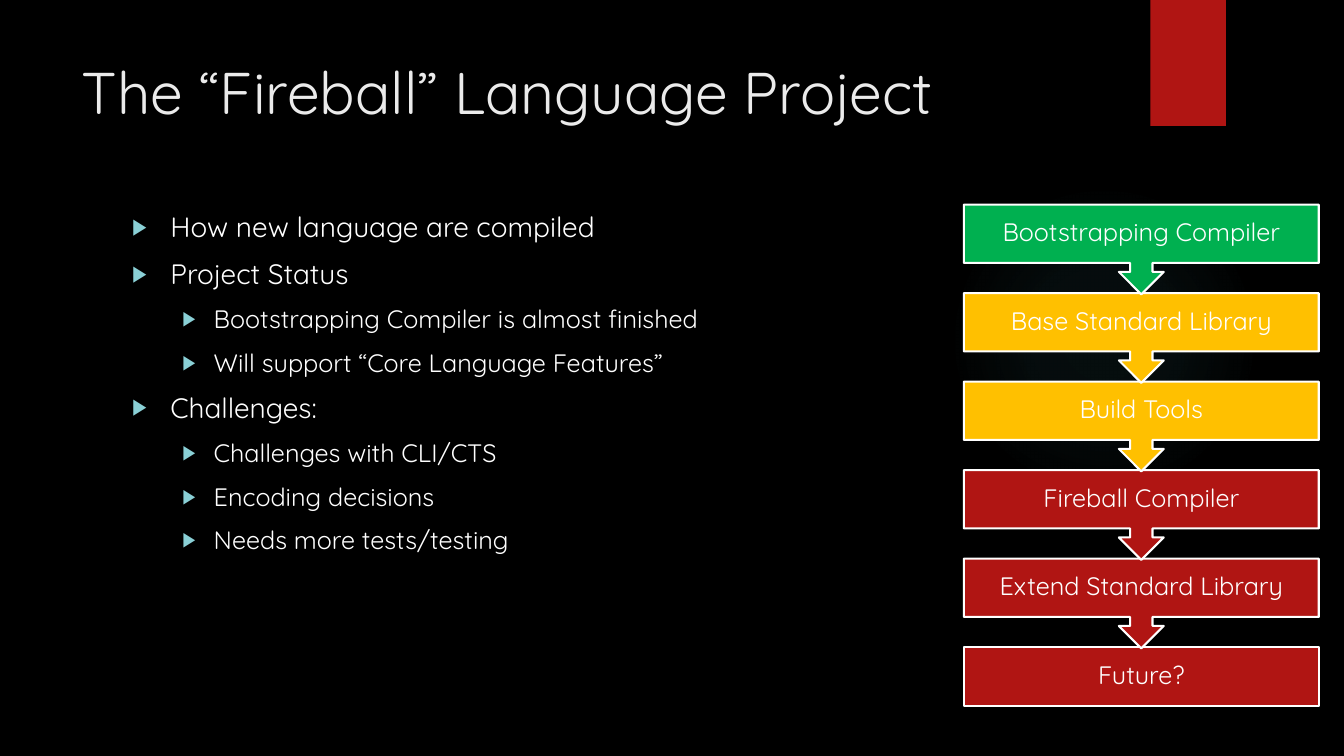
import pptx
import pptx.util
import pptx.oxml
import pptx.oxml.ns
import pptx.dml.color
import pptx.enum.shapes
import pptx.enum.text

Inches, Pt = pptx.util.Inches, pptx.util.Pt
SHAPE = pptx.enum.shapes.MSO_SHAPE
ALIGN = pptx.enum.text.PP_ALIGN
ANCHOR = pptx.enum.text.MSO_ANCHOR
FIT = pptx.enum.text.MSO_AUTO_SIZE
HEX = {"back": "000000", "title": "EBEBEB", "text": "FFFFFF", "mark": "8AD0D6",
       "glow": "50B9C1", "red": "B01513", "gold": "FFC000", "green": "00B050"}
FONT = "Quicksand"
NS = pptx.oxml.ns.nsdecls("a")


def color(name):
    return pptx.dml.color.RGBColor.from_string(HEX[name])


def style(item, values):
    for name, value in values.items():
        setattr(item, name, value)


deck = pptx.Presentation()
style(deck, {"slide_width": Inches(13.33), "slide_height": Inches(7.5)})
slide = deck.slides.add_slide(deck.slide_layouts[1])
slide.background.fill.solid()
slide.background.fill.fore_color.rgb = color("back")
shapes = slide.shapes

# Soft glow, placed behind everything
glow = shapes.add_shape(SHAPE.OVAL, Inches(9.41), Inches(1.83), Inches(3.08), Inches(3.08))
glow.shadow.inherit = False
glow.line.fill.background()
stops = "".join(
    f'<a:gs pos="{pos}000"><a:srgbClr val="{HEX["glow"]}"><a:alpha val="{alpha}000"/></a:srgbClr></a:gs>'
    for pos, alpha in [(0, 7), (36, 6), (69, 0), (100, 0)])
fade = pptx.oxml.parse_xml(
    f'<a:gradFill {NS}><a:gsLst>{stops}</a:gsLst><a:path path="circle">'
    '<a:fillToRect l="50000" t="50000" r="50000" b="50000"/></a:path></a:gradFill>')
glow.element.spPr.insert(2, fade)

# Red tab at the top
tab = shapes.add_shape(SHAPE.RECTANGLE, Inches(11.41), 0, Inches(0.75), Inches(1.25))
tab.shadow.inherit = False
tab.fill.solid()
tab.fill.fore_color.rgb = color("red")
tab.line.fill.background()
shapes[0].element.addprevious(glow.element)
shapes[1].element.addprevious(tab.element)

# Title
title = shapes.title
style(title, {"left": Inches(0.71), "top": Inches(0.5),
              "width": Inches(10.29), "height": Inches(1.53)})
style(title.text_frame, {"text": "The “Fireball” Language Project", "word_wrap": True,
                         "auto_size": FIT.NONE, "vertical_anchor": ANCHOR.TOP})
head = title.text_frame.paragraphs[0]
head.alignment = ALIGN.LEFT
font = head.runs[0].font
style(font, {"name": FONT, "size": Pt(42)})
font.color.rgb = color("title")

# Bullet list
points = [
    (0, "How new language are compiled"),
    (0, "Project Status"),
    (1, "Bootstrapping Compiler is almost finished"),
    (1, "Will support “Core Language Features”"),
    (0, "Challenges:"),
    (1, "Challenges with CLI/CTS"),
    (1, "Encoding decisions"),
    (1, "Needs more tests/testing"),
]
levels = [(20, 0.38, -0.38), (18, 0.81, -0.31)]
body = slide.placeholders[1]
style(body, {"left": Inches(1.21), "top": Inches(2.03),
             "width": Inches(8), "height": Inches(4.99)})
frame = body.text_frame
style(frame, {"text": "\n".join(text for _, text in points), "word_wrap": True,
              "auto_size": FIT.NONE, "vertical_anchor": ANCHOR.TOP})
for para, (level, _) in zip(frame.paragraphs, points):
    size, left, hang = levels[level]
    style(para, {"level": level, "space_before": Pt(9.5)})
    font = para.runs[0].font
    style(font, {"name": FONT, "size": Pt(size)})
    font.color.rgb = color("text")
    props = para._p.get_or_add_pPr()
    props.set("marL", str(Inches(left)))
    props.set("indent", str(Inches(hang)))
    for mark in (f'<a:buClr {NS}><a:srgbClr val="{HEX["mark"]}"/></a:buClr>',
                 f'<a:buSzPct {NS} val="80000"/>',
                 f'<a:buFont {NS} typeface="Arial"/>',
                 f'<a:buChar {NS} char="▶"/>'):
        props.append(pptx.oxml.parse_xml(mark))

# Roadmap steps, stacked from the last one up
steps = [
    ("Bootstrapping Compiler", "green"),
    ("Base Standard Library", "gold"),
    ("Build Tools", "gold"),
    ("Fireball Compiler", "red"),
    ("Extend Standard Library", "red"),
    ("Future?", "red"),
]
final = len(steps) - 1
for row, (text, tone) in reversed(list(enumerate(steps))):
    kind, high = (SHAPE.RECTANGLE, 0.58) if row == final else (SHAPE.DOWN_ARROW_CALLOUT, 0.89)
    step = shapes.add_shape(kind, Inches(9.56), Inches(2.03 + 0.878 * row),
                            Inches(3.52), Inches(high))
    step.shadow.inherit = False
    step.fill.solid()
    step.fill.fore_color.rgb = color(tone)
    step.line.color.rgb = color("text")
    step.line.width = Pt(1.5)
    frame = step.text_frame
    style(frame, {"text": text, "word_wrap": True, "vertical_anchor": ANCHOR.MIDDLE})
    style(frame, {f"margin_{side}": Inches(0.14) for side in ("left", "top", "right", "bottom")})
    para = frame.paragraphs[0]
    style(para, {"alignment": ALIGN.CENTER, "line_spacing": 0.9})
    font = para.runs[0].font
    style(font, {"name": FONT, "size": Pt(18)})
    font.color.rgb = color("text")

deck.save("out.pptx")
